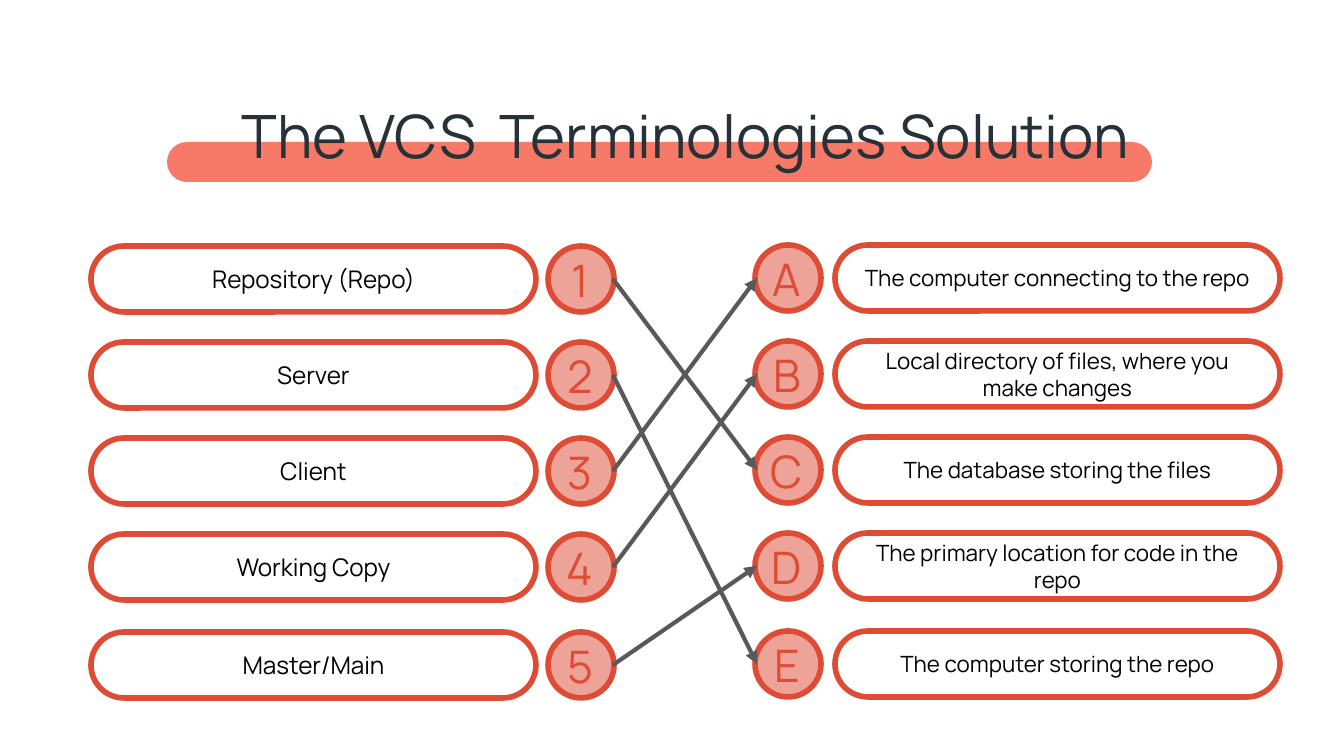
from lxml import etree
from pptx import Presentation
from pptx.dml.color import RGBColor
from pptx.enum.shapes import MSO_CONNECTOR, MSO_SHAPE
from pptx.enum.text import MSO_ANCHOR, PP_ALIGN
from pptx.oxml.ns import qn
from pptx.util import Emu, Pt

PILL, CIRCLE = MSO_SHAPE.ROUNDED_RECTANGLE, MSO_SHAPE.OVAL
STRAIGHT = MSO_CONNECTOR.STRAIGHT
TOP, MIDDLE = MSO_ANCHOR.TOP, MSO_ANCHOR.MIDDLE
CENTER = PP_ALIGN.CENTER

EMU_PER_PX = 914400 / 134.4
INSET = 13
ROW_TOPS = [246, 342, 438, 534, 632]
SIZE = 66
PILL_WIDTH = 445

TERMS = {
    "1": "Repository (Repo)",
    "2": "Server",
    "3": "Client",
    "4": "Working Copy",
    "5": "Master/Main",
}
DEFINITIONS = {
    "A": "The computer connecting to the repo",
    "B": "Local directory of files, where you make changes",
    "C": "The database storing the files",
    "D": "The primary location for code in the repo",
    "E": "The computer storing the repo",
}
MATCHES = ["1C", "2E", "3A", "4B", "5D"]


def px(length):
    """Turn pixels into EMU."""
    return Emu(round(length * EMU_PER_PX))


def color(value):
    """Turn a hex string into a colour."""
    return RGBColor.from_string(value)


class MatchingSlide:
    """Hold the style and the slide of a matching exercise."""

    font = "Manrope"
    accent, tint, bar = "DE4C36", "EEA398", "F77967"
    heading, body, arrow_gray = "263238", "000000", "595959"

    def __init__(self, slide):
        """Keep the slide that is drawn on."""
        self.shapes = slide.shapes

    def label(self, owner, text, size, ink, anchor=MIDDLE):
        """Put one centred paragraph into a shape."""
        frame = owner.text_frame
        frame.word_wrap = True
        frame.vertical_anchor = anchor
        frame.margin_left = frame.margin_right = px(INSET)
        frame.margin_top = frame.margin_bottom = px(INSET)
        paragraph = frame.paragraphs[0]
        paragraph.text = text
        paragraph.alignment = CENTER
        paragraph.font.name = self.font
        paragraph.font.size = Pt(size)
        paragraph.font.color.rgb = color(ink)

    def text(self, box, text, size, ink, anchor=MIDDLE):
        """Add a text box."""
        self.label(self.shapes.add_textbox(*map(px, box)), text, size, ink, anchor)

    def shape(self, kind, box, fill=None, line=None):
        """Add a preset shape with optional fill and outline."""
        shape = self.shapes.add_shape(kind, *map(px, box))
        shape.shadow.inherit = False
        if kind == PILL:
            shape.adjustments[0] = 0.5
        if fill:
            shape.fill.solid()
            shape.fill.fore_color.rgb = color(fill)
        else:
            shape.fill.background()
        if line:
            shape.line.color.rgb = color(line)
            shape.line.width = Pt(3)
        else:
            shape.line.fill.background()
        return shape

    def title(self, text):
        """Add the title over its coloured bar."""
        self.shape(PILL, (167, 142, 985, 40), fill=self.bar)
        self.text((120, 86, 1132, 90), text, 32, self.heading, TOP)

    def entry(self, top, pill_left, circle_left, mark, text, size):
        """Add a pill with its marked circle."""
        self.shape(CIRCLE, (circle_left, top, SIZE, SIZE), self.tint, self.accent)
        pill = self.shape(PILL, (pill_left, top, PILL_WIDTH, SIZE), line=self.accent)
        self.label(pill, text, size, self.body)
        self.text((circle_left + 2, top + 14, 60, 40), mark, 24, self.accent)

    def arrow(self, start, end):
        """Add an arrow between two points."""
        arrow = self.shapes.add_connector(STRAIGHT, *map(px, start + end))
        arrow.line.color.rgb = color(self.arrow_gray)
        arrow.line.width = Pt(2.25)
        properties = arrow._element.spPr
        etree.SubElement(properties.find(qn("a:ln")), qn("a:tailEnd"), type="triangle")
        etree.SubElement(properties, qn("a:effectLst"))


def main():
    """Build and save the slide."""
    deck = Presentation()
    deck.slide_width, deck.slide_height = px(1344), px(756)
    page = MatchingSlide(deck.slides.add_slide(deck.slide_layouts[6]))
    page.title("The VCS  Terminologies Solution")

    ports = {}
    for top, (number, term) in zip(ROW_TOPS, TERMS.items()):
        page.entry(top, 91, 548, number, term, 13)
        ports[number] = (613, top + SIZE // 2)
    for top, (letter, definition) in zip(ROW_TOPS, DEFINITIONS.items()):
        page.entry(top - 1, 835, 755, letter, definition, 12)
        ports[letter] = (757, top - 1 + SIZE // 2)
    for number, letter in MATCHES:
        page.arrow(ports[number], ports[letter])

    deck.save("out.pptx")


if __name__ == "__main__":
    main()
